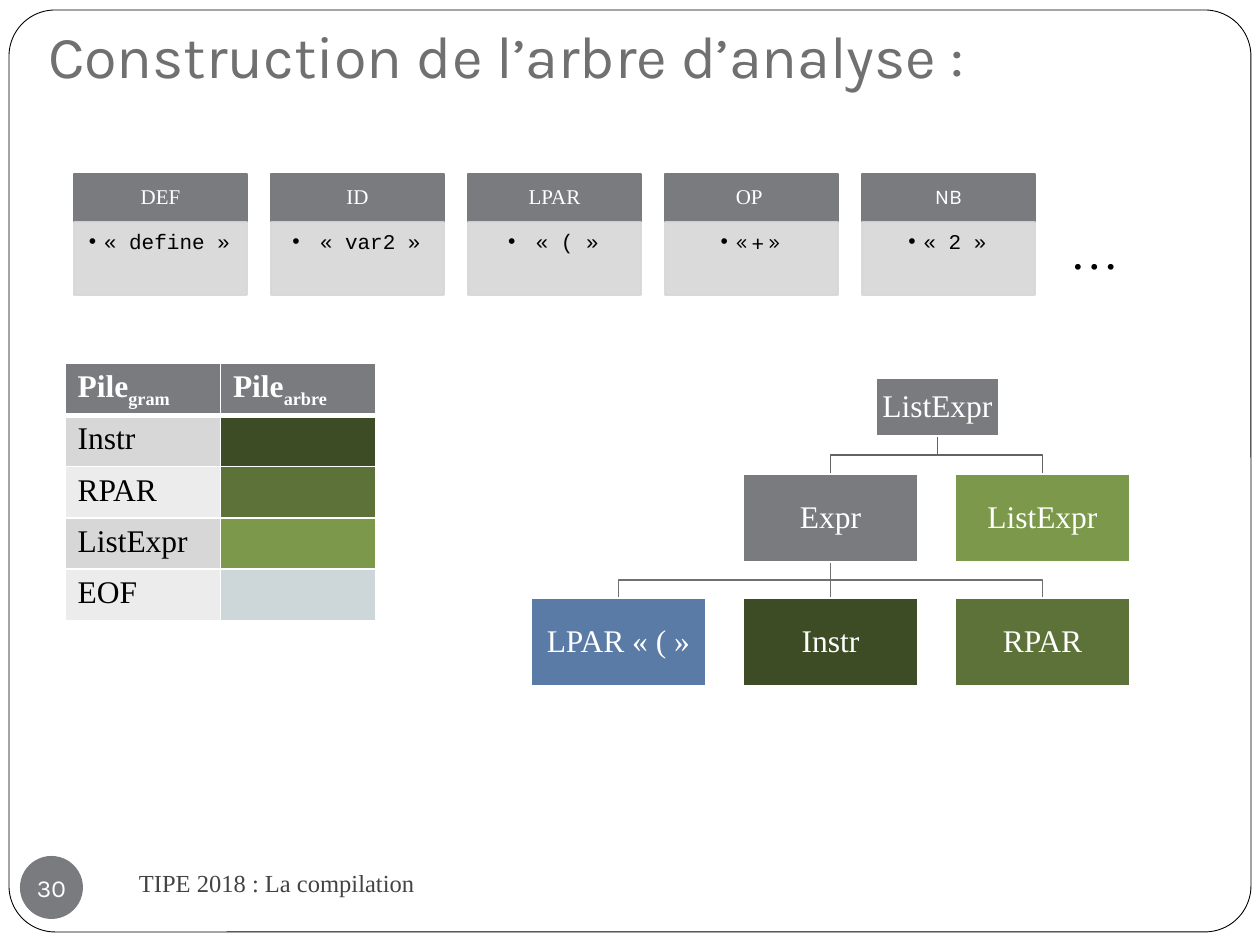
"""Build the slide on growing a parse tree from a token list."""
from dataclasses import dataclass

import lxml.etree
import pptx
import pptx.dml.color
import pptx.enum.shapes
import pptx.enum.text
import pptx.oxml
import pptx.oxml.ns
import pptx.util

SCALE = 914400 / 126
ALIGN = pptx.enum.text.PP_ALIGN
ANCHOR = pptx.enum.text.MSO_ANCHOR
SHAPE = pptx.enum.shapes.MSO_SHAPE
qn = pptx.oxml.ns.qn


@dataclass(frozen=True)
class Theme:
    """Colours, fonts and type sizes."""
    white: str = "FFFFFF"
    black: str = "000000"
    title: str = "707070"
    footer: str = "434342"
    grey: str = "797B7E"
    band_dark: str = "D7D7D8"
    band_light: str = "ECECEC"
    instr: str = "3E4C25"
    rpar: str = "5D7238"
    rest: str = "7C984A"
    end: str = "CDD7D9"
    lpar: str = "5A7BA5"
    root_link: str = "616365"
    branch_link: str = "6E7072"
    serif: str = "Times New Roman"
    sans: str = "Karla"
    mono: str = "Courier New"
    title_size: int = 34
    dots_size: int = 28
    main_size: int = 18
    small_size: int = 14
    token_size: int = 12


THEME = Theme()


@dataclass(frozen=True)
class Box:
    """A rectangle in pixels."""
    left: int
    top: int
    width: int
    height: int

    @property
    def middle(self) -> float:
        return self.left + self.width / 2

    @property
    def bottom(self) -> int:
        return self.top + self.height

    def emu(self) -> tuple:
        return tuple(px(n) for n in (self.left, self.top, self.width, self.height))


@dataclass(frozen=True)
class Style:
    """The look of a run of text."""
    size: int = THEME.main_size
    color: str = THEME.white
    font: str = THEME.serif
    bold: bool = False


@dataclass(frozen=True)
class Token:
    """A lexical token with the text it matched."""
    name: str
    lexeme: str
    name_font: str = THEME.serif
    lexeme_font: str = THEME.mono


@dataclass(frozen=True)
class Node:
    """A node of the parse tree."""
    label: str
    box: Box
    color: str = THEME.grey
    link: str = THEME.branch_link
    children: tuple = ()


def px(pixels: float) -> int:
    return round(pixels * SCALE)


def rgb(value: str):
    return pptx.dml.color.RGBColor.from_string(value)


def style_span(span, style: Style) -> None:
    span.font.size = pptx.util.Pt(style.size)
    span.font.name = style.font
    span.font.bold = style.bold
    span.font.color.rgb = rgb(style.color)


def write(frame, text: str, style: Style, align=ALIGN.LEFT, anchor=ANCHOR.MIDDLE,
          insets=(13, 6, 13, 6), spacing=1.0):
    """Fill a text frame with one formatted paragraph."""
    frame.word_wrap = True
    frame.auto_size = pptx.enum.text.MSO_AUTO_SIZE.NONE
    frame.vertical_anchor = anchor
    (frame.margin_left, frame.margin_top,
     frame.margin_right, frame.margin_bottom) = (px(n) for n in insets)
    frame.text = text
    para = frame.paragraphs[0]
    para.alignment = align
    para.line_spacing = spacing
    style_span(para.runs[0], style)
    return para


def add_box(page, box: Box, fill=None, line=None, kind=SHAPE.RECTANGLE, width=1.0):
    """Draw a preset shape without shadow."""
    shape = page.shapes.add_shape(kind, *box.emu())
    shape.shadow.inherit = False
    if fill:
        shape.fill.solid()
        shape.fill.fore_color.rgb = rgb(fill)
    else:
        shape.fill.background()
    if line:
        shape.line.color.rgb = rgb(line)
        shape.line.width = pptx.util.Pt(width)
    else:
        shape.line.fill.background()
    return shape


def add_note(page, box: Box, text: str, style: Style, anchor) -> None:
    write(page.shapes.add_textbox(*box.emu()).text_frame, text, style, anchor=anchor)


def add_token(page, token: Token, left: int) -> None:
    """Draw a token card: its name above its bulleted lexeme."""
    head = add_box(page, Box(left, 174, 173, 48), THEME.grey, THEME.grey)
    write(head.text_frame, token.name, Style(THEME.token_size, font=token.name_font),
          ALIGN.CENTER, insets=(11, 6, 11, 6), spacing=0.9)
    body = add_box(page, Box(left, 222, 173, 73), THEME.band_dark, THEME.band_dark)
    for color in body._element.spPr.iter(qn("a:srgbClr")):
        lxml.etree.SubElement(color, qn("a:alpha"), val="90000")
    para = write(body.text_frame, token.lexeme,
                 Style(THEME.token_size, THEME.black, token.lexeme_font),
                 ALIGN.CENTER, ANCHOR.TOP, (9, 9, 11, 13), 0.9)
    props = para._p.get_or_add_pPr()
    props.set("marL", str(px(15)))
    props.set("indent", str(px(-15)))
    lxml.etree.SubElement(props, qn("a:buFont"), typeface="Arial")
    lxml.etree.SubElement(props, qn("a:buChar"), char="•")


def format_cell(cell, fill: str, bottom: int) -> None:
    """Give a cell its fill and white borders."""
    cell.fill.solid()
    cell.fill.fore_color.rgb = rgb(fill)
    props = cell._tc.get_or_add_tcPr()
    for place, (side, points) in enumerate((("L", 1), ("R", 1), ("T", 1), ("B", bottom))):
        line = lxml.etree.Element(qn(f"a:ln{side}"), w=str(pptx.util.Pt(points)))
        solid = lxml.etree.SubElement(line, qn("a:solidFill"))
        lxml.etree.SubElement(solid, qn("a:srgbClr"), val=THEME.white)
        props.insert(place, line)


def add_stacks(page, box: Box, heads: tuple, rows: tuple) -> None:
    """Draw the table of the grammar and tree stacks."""
    table = page.shapes.add_table(len(rows) + 1, len(heads), *box.emu()).table
    for cell, subscript in zip(table.rows[0].cells, heads):
        format_cell(cell, THEME.grey, 3)
        para = cell.text_frame.paragraphs[0]
        for text in ("Pile", subscript):
            span = para.add_run()
            span.text = text
            style_span(span, Style(bold=True))
        span.font._element.set("baseline", "-25000")
    for index, (symbol, color) in enumerate(rows, 1):
        name, swatch = table.rows[index].cells
        format_cell(name, THEME.band_dark if index % 2 else THEME.band_light, 1)
        format_cell(swatch, color, 1)
        name.text_frame.text = symbol
        style_span(name.text_frame.paragraphs[0].runs[0], Style(color=THEME.black))


def add_link(page, parent: Node, child: Node) -> None:
    """Join a node to its child, with a bend when they are not aligned."""
    start, end = parent.box.middle, child.box.middle
    top, bottom = parent.box.bottom, child.box.top
    if start == end:
        link = page.shapes.add_connector(pptx.enum.shapes.MSO_CONNECTOR.STRAIGHT,
                                         px(start), px(top), px(end), px(bottom))
        lxml.etree.SubElement(link._element.spPr, qn("a:effectLst"))
    else:
        bend = (top + bottom) / 2
        points = [(px(x), px(y)) for x, y in ((start, bend), (end, bend), (end, bottom))]
        builder = page.shapes.build_freeform(px(start), px(top))
        link = builder.add_line_segments(points, close=False).convert_to_shape()
        link.fill.background()
        link.shadow.inherit = False
    link.line.color.rgb = rgb(parent.link)
    link.line.width = pptx.util.Pt(1)


def add_tree(page, node: Node) -> None:
    """Draw a node above its links and then its subtrees."""
    for child in node.children:
        add_link(page, node, child)
    shape = add_box(page, node.box, node.color, THEME.white)
    write(shape.text_frame, node.label, Style(), ALIGN.CENTER, insets=(1, 1, 1, 1), spacing=0.9)
    for child in node.children:
        add_tree(page, child)


def tree_box(column: int, row: int) -> Box:
    return Box(531 + 212 * column, 474 + 124 * row, 175, 88)


TOKENS = (
    Token("DEF", "«\u00a0define\u00a0»"),
    Token("ID", " «\u00a0var2\u00a0»"),
    Token("LPAR", " «\u00a0(\u00a0»"),
    Token("OP ", "«\u00a0+\u00a0»", lexeme_font=THEME.sans),
    Token("NB", "«\u00a02\u00a0»", name_font=THEME.sans),
)
STACK = (("Instr", THEME.instr), ("RPAR", THEME.rpar),
         ("ListExpr", THEME.rest), ("EOF", THEME.end))
EXPR = Node("Expr", tree_box(1, 0), children=(
    Node("LPAR «\u00a0(\u00a0»", tree_box(0, 1), THEME.lpar),
    Node("Instr", tree_box(1, 1), THEME.instr),
    Node("RPAR", tree_box(2, 1), THEME.rpar)))
ROOT = Node("ListExpr", Box(876, 378, 123, 58), link=THEME.root_link, children=(
    EXPR, Node("ListExpr", tree_box(2, 0), THEME.rest)))


def main() -> None:
    """Assemble and save the deck."""
    deck = pptx.Presentation()
    deck.slide_width, deck.slide_height = px(1260), px(945)
    page = deck.slides.add_slide(deck.slide_layouts[5])
    title = page.shapes.title
    title.left, title.top, title.width, title.height = Box(35, 25, 1211, 78).emu()
    write(title.text_frame, "Construction de l’arbre d’analyse :",
          Style(THEME.title_size, THEME.title, THEME.sans),
          anchor=ANCHOR.BOTTOM, insets=(13, 6, 13, 13))
    border = add_box(page, Box(9, 10, 1242, 922), None, THEME.black, SHAPE.ROUNDED_RECTANGLE, 0.5)
    border.adjustments[0] = 0.05
    add_note(page, Box(126, 851, 546, 63), "TIPE 2018 : La compilation",
             Style(THEME.small_size, THEME.footer), ANCHOR.MIDDLE)
    badge = add_box(page, Box(20, 856, 63, 63), THEME.grey, kind=SHAPE.OVAL)
    write(badge.text_frame, "30", Style(THEME.small_size, font=THEME.sans),
          ALIGN.CENTER, insets=(0, 0, 0, 0))
    badge.text_frame.word_wrap = False
    add_stacks(page, Box(65, 363, 311, 256), ("gram", "arbre"), STACK)
    for index, token in enumerate(TOKENS):
        add_token(page, token, 74 + 197 * index)
    add_note(page, Box(1057, 214, 149, 72), "…",
             Style(THEME.dots_size, THEME.black), ANCHOR.TOP)
    add_tree(page, ROOT)
    deck.save("out.pptx")


main()
